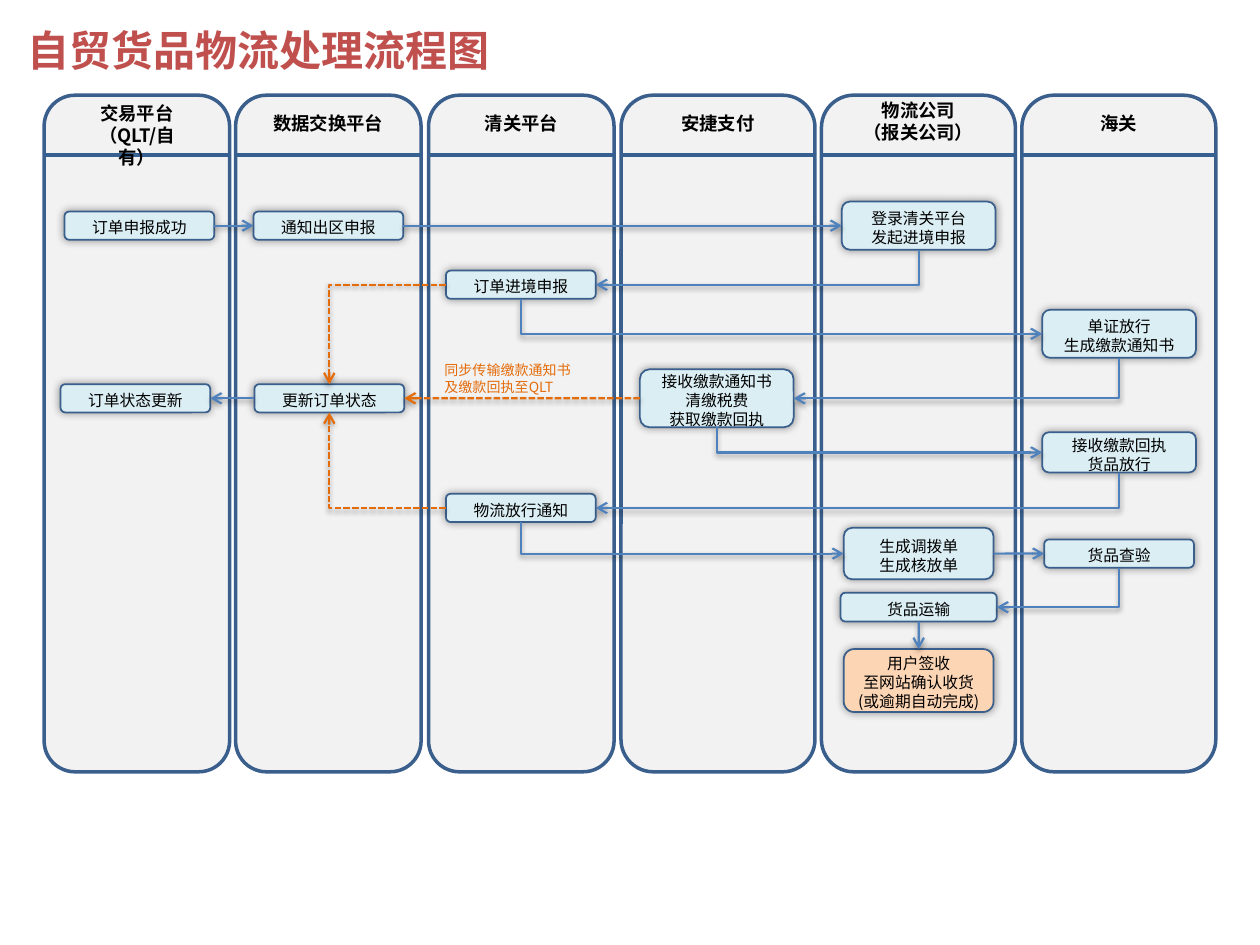
from lxml import etree
from pptx import Presentation
from pptx import util as u
from pptx.dml.color import RGBColor
from pptx.enum import dml, shapes, text
from pptx.oxml import parse_xml
from pptx.oxml.ns import nsdecls, qn

RED = RGBColor(0xC0, 0x50, 0x4D)
BLACK = RGBColor(0, 0, 0)
GREY = RGBColor(0xF2, 0xF2, 0xF2)
NAVY = RGBColor(0x3A, 0x5F, 0x8C)
RULE = RGBColor(0x37, 0x60, 0x92)
BLUE = RGBColor(0x4F, 0x81, 0xBD)
ORANGE = RGBColor(0xE4, 0x6C, 0x0A)
AQUA = RGBColor(0xDB, 0xEE, 0xF4)
PEACH = RGBColor(0xFC, 0xD5, 0xB5)

TOP, LEFT, BOTTOM, RIGHT = range(4)

# left, width, heading, top of heading
LANES = [
    (0.89, 3.74, "交易平台\n（QLT/自有）", 1.93),
    (4.75, 3.74, "数据交换平台", 2.13),
    (8.64, 3.74, "清关平台", 2.13),
    (12.52, 3.91, "安捷支付", 2.13),
    (16.56, 3.91, "物流公司\n（报关公司）", 1.88),
    (20.6, 3.91, "海关", 2.13),
]

# name: centre x, centre y, width, height, label
STEPS = {
    "order": (2.81, 4.55, 3.02, 0.57, "订单申报成功"),
    "notice": (6.62, 4.55, 3.02, 0.57, "通知出区申报"),
    "login": (18.52, 4.55, 3.1, 0.97, "登录清关平台\n发起进境申报"),
    "entry": (10.5, 5.74, 3.02, 0.57, "订单进境申报"),
    "permit": (22.56, 6.73, 3.1, 0.97, "单证放行\n生成缴款通知书"),
    "pay": (14.45, 8.03, 3.1, 1.17, "接收缴款通知书\n清缴税费\n获取缴款回执"),
    "update": (6.64, 8.03, 3.02, 0.57, "更新订单状态"),
    "status": (2.73, 8.03, 3.02, 0.57, "订单状态更新"),
    "receipt": (22.56, 9.12, 3.1, 0.81, "接收缴款回执\n货品放行"),
    "release": (10.5, 10.24, 3.02, 0.57, "物流放行通知"),
    "transfer": (18.52, 11.16, 3.02, 1.04, "生成调拨单\n生成核放单"),
    "inspect": (22.56, 11.16, 3.02, 0.57, "货品查验"),
    "ship": (18.52, 12.24, 3.15, 0.58, "货品运输"),
    "sign": (18.52, 13.72, 3.02, 1.27, "用户签收\n至网站确认收货\n(或逾期自动完成)"),
}

FLOW = [
    ("order", RIGHT, "notice", LEFT),
    ("notice", RIGHT, "login", LEFT),
    ("login", BOTTOM, "entry", RIGHT),
    ("entry", BOTTOM, "permit", LEFT),
    ("permit", BOTTOM, "pay", RIGHT),
    ("pay", BOTTOM, "receipt", LEFT),
    ("receipt", BOTTOM, "release", RIGHT),
    ("release", BOTTOM, "transfer", LEFT),
    ("transfer", RIGHT, "inspect", LEFT),
    ("inspect", BOTTOM, "ship", RIGHT),
    ("ship", BOTTOM, "sign", TOP),
    ("update", LEFT, "status", RIGHT),
]

SYNC = [
    ("entry", LEFT, "update", TOP),
    ("pay", LEFT, "update", RIGHT),
    ("release", LEFT, "update", BOTTOM),
]


class Chart:
    font = "Noto Sans CJK SC"

    def __init__(self, slide):
        self.slide = slide
        self.items = slide.shapes

    def letter(self, frame, words, size, color=BLACK, bold=False,
               align=text.PP_ALIGN.CENTER):
        """Fill a text frame and format its runs."""
        frame.text = words
        for par in frame.paragraphs:
            par.alignment = align
            par.line_spacing = u.Pt(size * 1.2)
            for run in par.runs:
                font = run.font
                font.name, font.size, font.bold = self.font, u.Pt(size), bold
                font.color.rgb = color
                east = etree.SubElement(run._r.get_or_add_rPr(), qn("a:ea"))
                east.set("typeface", self.font)

    def glow(self, shape, blur, dist, alpha):
        """Give the shape a soft black shadow straight below it."""
        props = shape._element.spPr
        for old in props.findall(qn("a:effectLst")):
            props.remove(old)
        props.append(parse_xml(
            f'<a:effectLst {nsdecls("a")}><a:outerShdw blurRad="{u.Pt(blur)}" '
            f'dist="{u.Pt(dist)}" dir="5400000" algn="ctr" rotWithShape="0">'
            f'<a:srgbClr val="000000"><a:alpha val="{alpha}000"/></a:srgbClr>'
            '</a:outerShdw></a:effectLst>'))

    def title(self, words):
        shape = self.items.title
        shape.left, shape.top = u.Cm(0.3), u.Cm(0.2)
        shape.width, shape.height = u.Cm(17.65), u.Cm(1.6)
        shape.text_frame.vertical_anchor = text.MSO_ANCHOR.MIDDLE
        self.letter(shape.text_frame, words, 24, RED, True, text.PP_ALIGN.LEFT)

    def round(self, left, top, width, height, fill, weight):
        shape = self.items.add_shape(
            shapes.MSO_SHAPE.ROUNDED_RECTANGLE,
            u.Cm(left), u.Cm(top), u.Cm(width), u.Cm(height))
        shape.shadow.inherit = False
        shape.fill.solid()
        shape.fill.fore_color.rgb = fill
        shape.line.color.rgb = NAVY
        shape.line.width = u.Pt(weight)
        return shape

    def label(self, left, top, width, height, words, size, **style):
        box = self.items.add_textbox(
            u.Cm(left), u.Cm(top), u.Cm(width), u.Cm(height))
        box.text_frame.word_wrap = True
        self.letter(box.text_frame, words, size, **style)

    def lane(self, left, width, words, head):
        self.round(left, 1.92, width, 13.64, GREY, 2)
        rule = self.items.add_connector(
            shapes.MSO_CONNECTOR.STRAIGHT,
            u.Cm(left), u.Cm(3.12), u.Cm(left + width), u.Cm(3.12))
        rule.line.color.rgb = RULE
        rule.line.width = u.Pt(2)
        etree.SubElement(rule._element.spPr, qn("a:effectLst"))
        span = 2.67 if "/" in words else width
        self.label(left + (width - span) / 2, head, span, 0.71, words, 10.5,
                   bold=True)

    def step(self, mid, row, width, height, words, fill):
        shape = self.round(mid - width / 2, row - height / 2, width, height,
                           fill, 1)
        self.glow(shape, 5, 0, 40)
        frame = shape.text_frame
        frame.margin_left = frame.margin_right = frame.margin_bottom = 0
        frame.margin_top = u.Cm(0.08)
        frame.word_wrap = False
        frame.vertical_anchor = text.MSO_ANCHOR.MIDDLE
        self.letter(frame, words, 9)
        return shape

    def link(self, start, out, end, into, color, dash=None):
        bent = (out + into) % 2 == 1
        kind = shapes.MSO_CONNECTOR
        line = self.items.add_connector(
            kind.ELBOW if bent else kind.STRAIGHT, 0, 0, 0, 0)
        line.begin_connect(start, out)
        line.end_connect(end, into)
        if bent:
            self.bend(line, out)
        line.line.color.rgb = color
        line.line.width = u.Pt(1.25)
        if dash:
            line.line.dash_style = dash
        tip = etree.SubElement(line.line._get_or_add_ln(), qn("a:tailEnd"))
        tip.set("type", "arrow")
        self.glow(line, 3.1, 1.6, 38)

    def bend(self, line, out):
        """Use a single corner, turned so the line leaves by the given side."""
        props = line._element.spPr
        props.find(qn("a:prstGeom")).set("prst", "bentConnector2")
        if out != BOTTOM:
            return
        right = line.end_x > line.begin_x
        mid = (line.begin_x + line.end_x) // 2
        row = (line.begin_y + line.end_y) // 2
        wide, high = line.height, line.width
        line.left, line.top = mid - wide // 2, row - high // 2
        line.width, line.height = wide, high
        frame = props.find(qn("a:xfrm"))
        frame.set("rot", "16200000" if right else "5400000")
        frame.set("flipH", "1" if right else "0")
        frame.set("flipV", "0")


def main():
    deck = Presentation()
    deck.slide_width, deck.slide_height = u.Cm(25.4), u.Cm(19.05)
    chart = Chart(deck.slides.add_slide(deck.slide_layouts[5]))
    chart.title("自贸货品物流处理流程图")
    for lane in LANES:
        chart.lane(*lane)
    steps = {name: chart.step(*data, PEACH if name == "sign" else AQUA)
             for name, data in STEPS.items()}
    for start, out, end, into in FLOW:
        chart.link(steps[start], out, steps[end], into, BLUE)
    for start, out, end, into in SYNC:
        chart.link(steps[start], out, steps[end], into, ORANGE,
                   dml.MSO_LINE.SQUARE_DOT)
    chart.label(8.71, 7.16, 3.81, 0.94, "同步传输缴款通知书\n及缴款回执至QLT", 8,
                color=ORANGE, align=text.PP_ALIGN.LEFT)
    deck.save("out.pptx")


if __name__ == "__main__":
    main()
